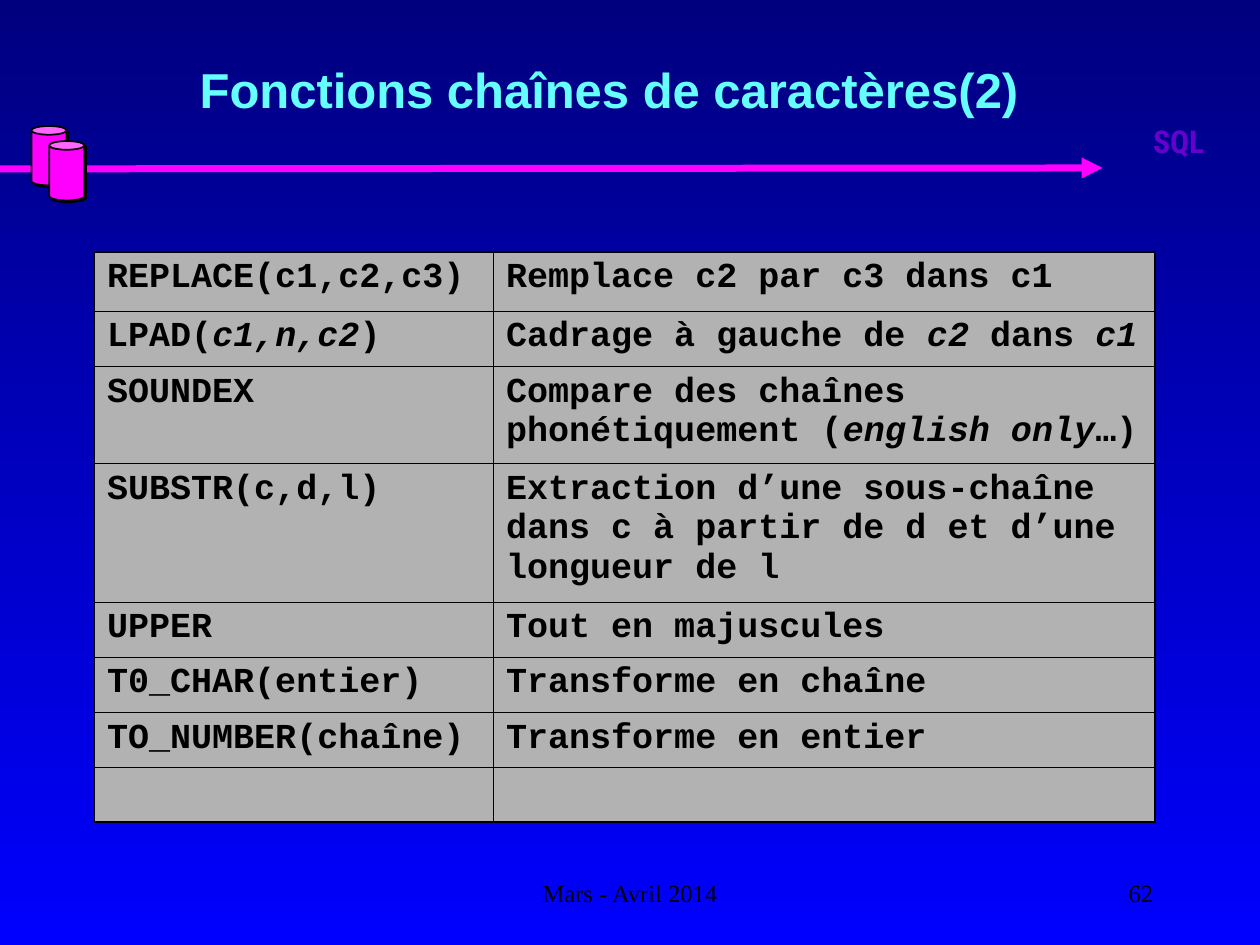
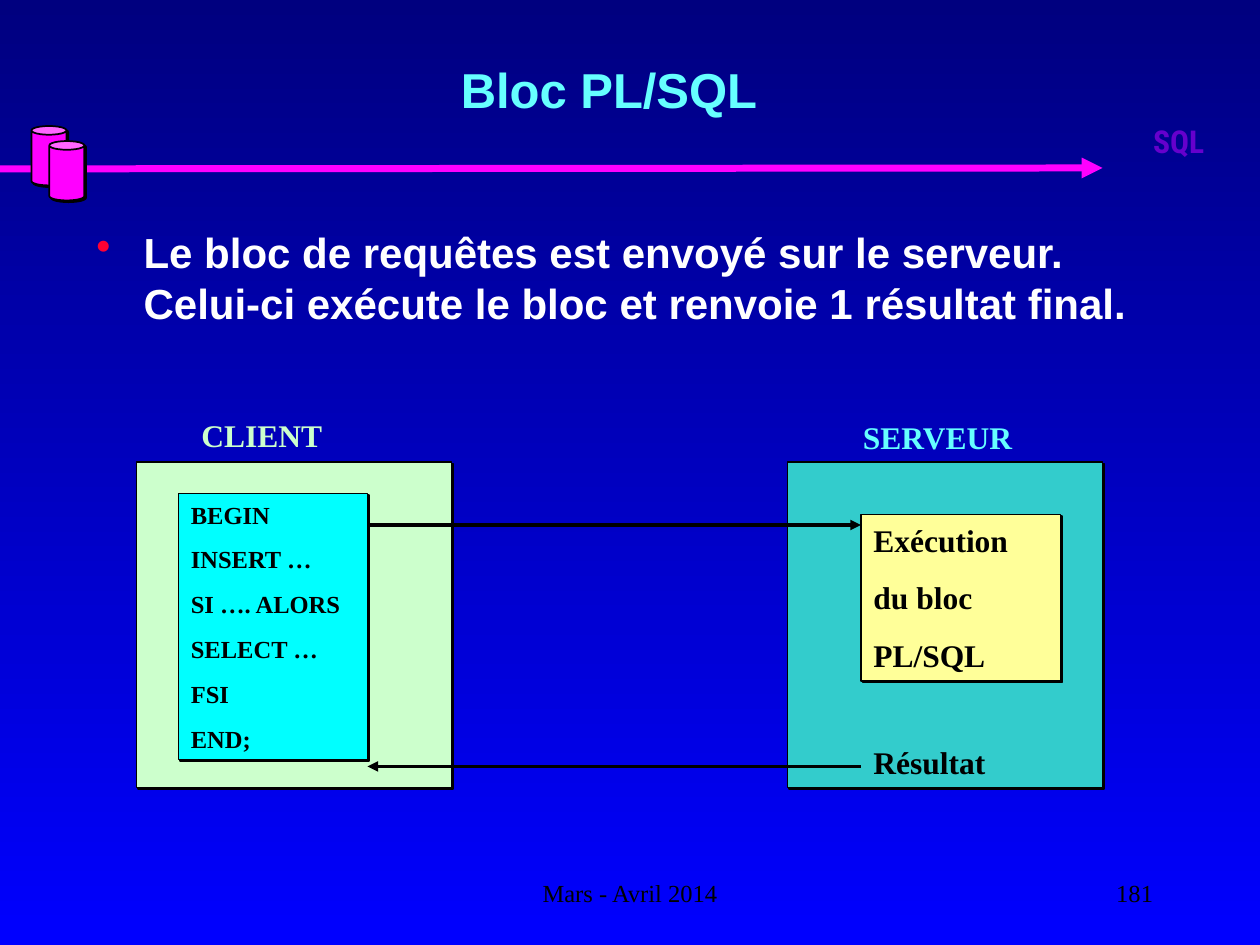
from lxml.etree import SubElement
from pptx import Presentation
from pptx.dml.color import RGBColor
from pptx.enum.shapes import MSO_CONNECTOR, MSO_SHAPE
from pptx.enum.text import MSO_ANCHOR, PP_ALIGN
from pptx.oxml import parse_xml
from pptx.oxml.ns import nsdecls, qn
from pptx.util import Pt

BLACK = "000000"
MAGENTA = "FF00FF"
MINT = "CCFFCC"
AQUA = "66FFFF"

TITLE = {"name": "Arial", "size": Pt(28), "bold": True}
BODY = {"name": "Arial", "size": Pt(24), "bold": True}
CODE = {"name": "Courier New", "size": Pt(20), "bold": True}
LABEL = {"name": "Times New Roman", "size": Pt(18), "bold": True}
STATEMENT = {"name": "Times New Roman", "size": Pt(14), "bold": True}
FOOTER = {"name": "Times New Roman", "size": Pt(14), "bold": False}
BADGE = {"name": "Roboto Condensed", "size": Pt(18), "bold": True}

SHADOW = (
    f'<a:effectLst {nsdecls("a")}><a:outerShdw dist="17780" dir="2700000" algn="ctr" '
    'rotWithShape="0"><a:srgbClr val="000000"/></a:outerShdw></a:effectLst>'
)

FUNCTIONS = [
    ("REPLACE(c1,c2,c3)", "Remplace c2 par c3 dans c1", 34),
    ("LPAD(*c1,n,c2*)", "Cadrage à gauche de *c2* dans *c1*", 31.5),
    ("SOUNDEX", "Compare des chaînes phonétiquement (*english only*…)", 55.5),
    ("SUBSTR(c,d,l)",
     "Extraction d’une sous-chaîne dans c à partir de d et d’une longueur de l", 79),
    ("UPPER", "Tout en majuscules", 31.5),
    ("T0_CHAR(entier)", "Transforme en chaîne", 31.5),
    ("TO_NUMBER(chaîne)", "Transforme en entier", 31.5),
    ("", "", 31),
]


def color(value):
    return RGBColor.from_string(value)


def points(*values):
    return [Pt(value) for value in values]


class Course:
    def __init__(self):
        self.deck = Presentation()
        self.deck.slide_width, self.deck.slide_height = points(720, 540)
        self.page = None
        fill = self.deck.slide_master.background.fill
        fill.gradient()
        fill.gradient_angle = 270
        for stop, position, shade in zip(fill.gradient_stops, (0, 1), ("00007F", "0000FF")):
            stop.position = position
            stop.color.rgb = color(shade)

    def add_page(self, title, number):
        self.page = self.deck.slides.add_slide(self.deck.slide_layouts[5])
        heading = self.page.shapes.title
        heading.left, heading.top, heading.width, heading.height = points(30, 6, 636, 90)
        self.set_text(heading.text_frame, [title], TITLE, AQUA,
                      align=PP_ALIGN.CENTER, anchor=MSO_ANCHOR.MIDDLE)
        self.arrow((0, 96.5), (630, 96), MAGENTA, 4)
        for left, top in ((18, 72), (28.2, 80.6)):
            self.shape(MSO_SHAPE.CAN, (left, top, 20, 34), MAGENTA)
        self.text((631.5, 66, 84, 56), ["SQL"], BADGE, "6600CC", align=PP_ALIGN.CENTER)
        self.text((246, 492, 228, 36), ["Mars - Avril 2014"], FOOTER, BLACK,
                  align=PP_ALIGN.CENTER, anchor=MSO_ANCHOR.MIDDLE)
        self.text((516, 492, 150, 36), [number], FOOTER, BLACK,
                  align=PP_ALIGN.RIGHT, anchor=MSO_ANCHOR.MIDDLE)

    def set_text(self, frame, lines, style, ink, align=PP_ALIGN.LEFT,
                 anchor=MSO_ANCHOR.TOP, before=0, shadow=False):
        frame.word_wrap = True
        frame.vertical_anchor = anchor
        for index, line in enumerate(lines):
            para = frame.add_paragraph() if index else frame.paragraphs[0]
            para.alignment = align
            para.space_before = Pt(before if index else 0)
            for part, words in enumerate(line.split("*")):
                if words:
                    self.span(para, words, {**style, "italic": part % 2 == 1}, ink, shadow)

    def span(self, para, words, style, ink, shadow):
        span = para.add_run()
        span.text = words
        for key, value in style.items():
            setattr(span.font, key, value)
        span.font.color.rgb = color(ink)
        if shadow:
            span.font._element.find(qn("a:solidFill")).addnext(parse_xml(SHADOW))

    def text(self, place, lines, style, ink, **layout):
        box = self.page.shapes.add_textbox(*points(*place))
        self.set_text(box.text_frame, lines, style, ink, **layout)
        return box

    def bullet(self, place, line):
        box = self.text(place, [line], BODY, "FFFFFF")
        properties = box.text_frame.paragraphs[0]._p.get_or_add_pPr()
        properties.set("marL", str(Pt(27)))
        properties.set("indent", str(Pt(-27)))
        tint = SubElement(properties, qn("a:buClr"))
        SubElement(tint, qn("a:srgbClr"), val="FF0033")
        SubElement(properties, qn("a:buChar"), char="•")

    def shape(self, kind, place, fill):
        shape = self.page.shapes.add_shape(kind, *points(*place))
        shape.fill.solid()
        shape.fill.fore_color.rgb = color(fill)
        shape.line.color.rgb = color(BLACK)
        shape.line.width = Pt(1)
        shape.element.spPr.append(parse_xml(SHADOW))
        return shape

    def panel(self, place, fill, lines=(), style=LABEL, before=0):
        panel = self.shape(MSO_SHAPE.RECTANGLE, place, fill)
        self.set_text(panel.text_frame, lines, style, BLACK, before=before)

    def arrow(self, start, end, ink, width):
        arrow = self.page.shapes.add_connector(MSO_CONNECTOR.STRAIGHT, *points(*start, *end))
        arrow.line.color.rgb = color(ink)
        arrow.line.width = Pt(width)
        SubElement(arrow.line._get_or_add_ln(), qn("a:tailEnd"), type="triangle")
        SubElement(arrow.element.spPr, qn("a:effectLst"))

    def table(self, left, top, widths, rows):
        heights = [height for *_, height in rows]
        frame = self.page.shapes.add_table(
            len(rows), len(widths), *points(left, top, sum(widths), sum(heights)))
        table = frame.table
        table.first_row = table.horz_banding = False
        for column, width in zip(table.columns, widths):
            column.width = Pt(width)
        last_row, last_column = len(rows) - 1, len(widths) - 1
        for i, (*texts, height) in enumerate(rows):
            table.rows[i].height = Pt(height)
            for j, words in enumerate(texts):
                cell = table.cell(i, j)
                self.borders(cell, {"L": j == 0, "R": j == last_column,
                                    "T": i == 0, "B": i == last_row})
                cell.fill.solid()
                cell.fill.fore_color.rgb = color("B2B2B2")
                self.set_text(cell.text_frame, [words], CODE, BLACK)

    def borders(self, cell, outer_sides):
        properties = cell._tc.get_or_add_tcPr()
        for side, outer in outer_sides.items():
            line = SubElement(properties, qn(f"a:ln{side}"), w=str(Pt(1.08 if outer else 0.45)))
            SubElement(SubElement(line, qn("a:solidFill")), qn("a:srgbClr"), val=BLACK)


def add_string_functions(course):
    course.add_page("Fonctions chaînes de caractères(2)", "62")
    course.table(54, 144, (228, 378), FUNCTIONS)


def add_block_exchange(course):
    course.add_page("Bloc PL/SQL", "181")
    course.bullet((48, 126, 612, 324), "Le bloc de requêtes est envoyé sur le serveur. "
                  "Celui-ci exécute le bloc et renvoie 1 résultat final.")
    for left, fill in ((78, MINT), (450, "33CCCC")):
        course.panel((left, 264, 180, 186), fill)
    course.text((108, 234, 144, 29), ["CLIENT"], LABEL, MINT, shadow=True)
    course.text((486, 235.5, 108, 29), ["SERVEUR"], LABEL, AQUA, shadow=True)
    course.panel((102, 282, 108, 152), "00FFFF",
                 ["BEGIN", "INSERT …", "SI …. ALORS", "SELECT …", "FSI", "END;"],
                 STATEMENT, 8.8)
    course.panel((492, 294, 114, 95), "FFFF99", ["Exécution", "du bloc", "PL/SQL"],
                 LABEL, 11.2)
    course.arrow((210, 300), (492, 300), BLACK, 2)
    course.text((492, 421, 114, 29), ["Résultat"], LABEL, BLACK, shadow=True)
    course.arrow((492, 438), (210, 438), BLACK, 2)


def main():
    course = Course()
    add_string_functions(course)
    add_block_exchange(course)
    course.deck.save("out.pptx")


if __name__ == "__main__":
    main()
